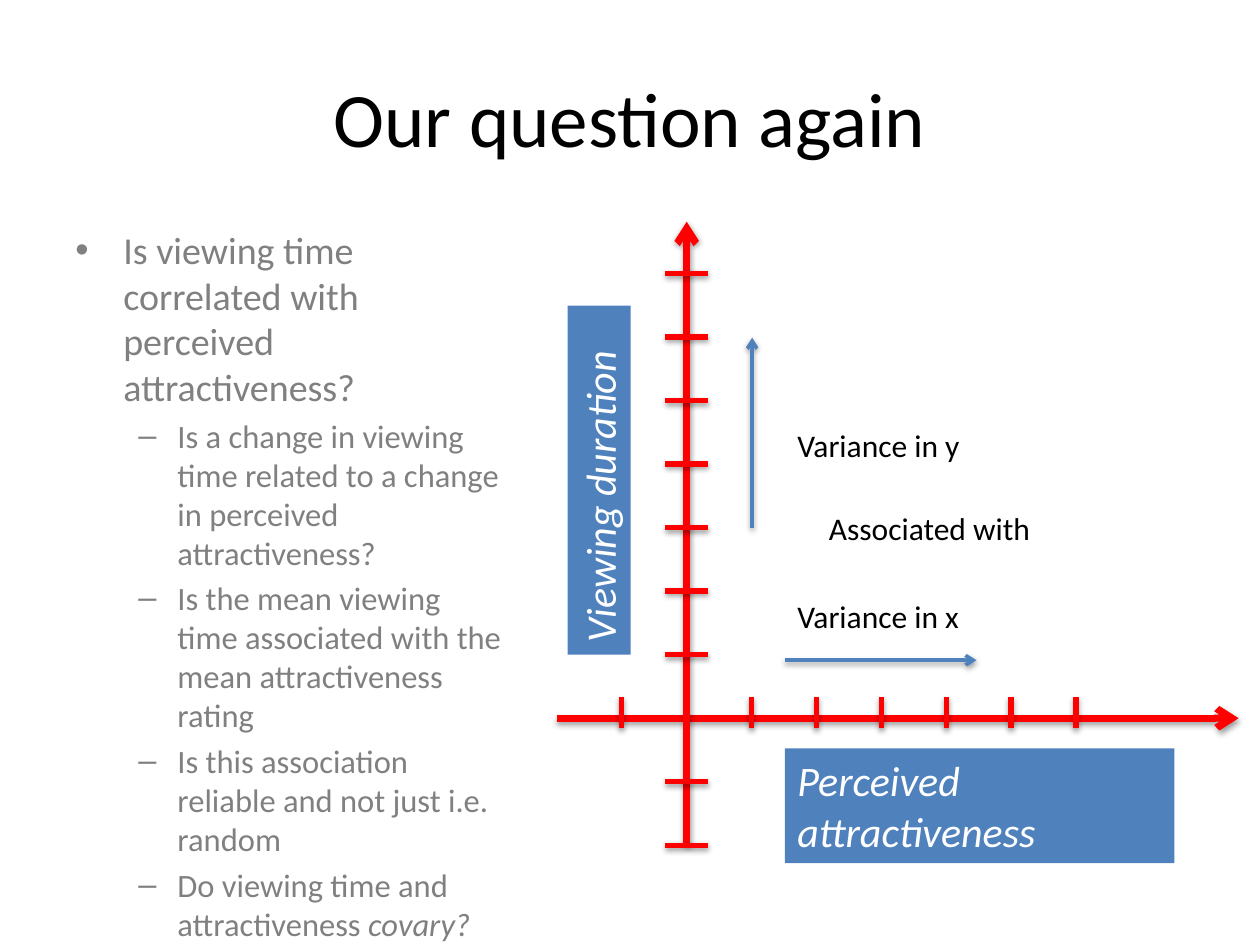
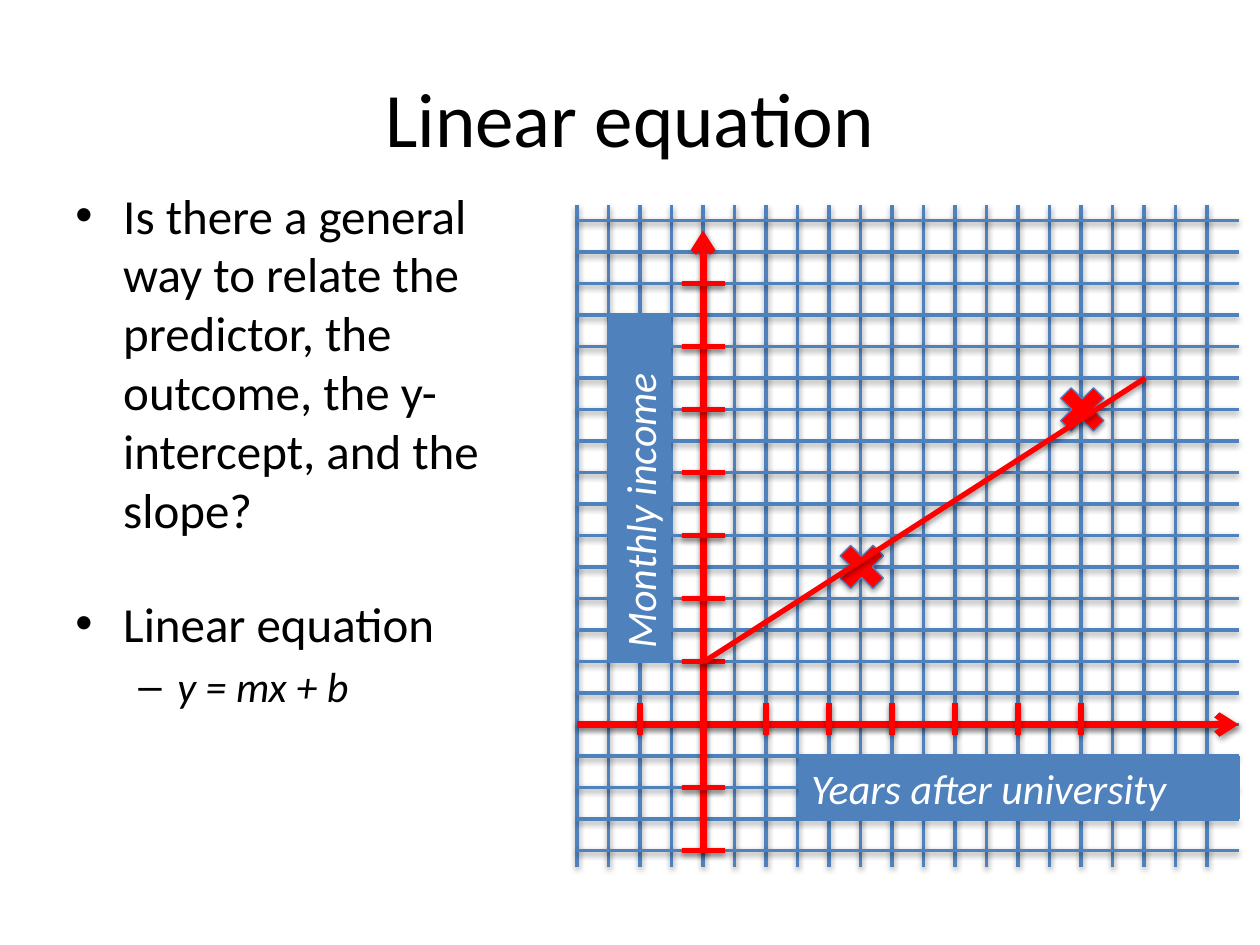
from pptx import Presentation
from pptx.dml.color import RGBColor
from pptx.enum.shapes import MSO_CONNECTOR as LINE, MSO_SHAPE as SHAPE
from pptx.enum.text import MSO_ANCHOR as ANCHOR, PP_ALIGN as ALIGN
from pptx.oxml import parse_xml
from pptx.oxml.ns import nsdecls, qn
from pptx.util import Inches, Pt

FONT = "Calibri"
COLORS = {"black": "000000", "grey": "808080", "white": "FFFFFF",
          "blue": "4F81BD", "edge": "4B7EBC", "red": "FF0000"}
# Bullet character, left margin and hanging indent for each list level
BULLETS = [("•", 0.38, 0.38), ("–", 0.81, 0.31)]
SHADOW = (f'<a:effectLst {nsdecls("a")}>'
          '<a:outerShdw blurRad="40000" dist="20000" dir="5400000" rotWithShape="0">'
          '<a:srgbClr val="000000"><a:alpha val="38000"/></a:srgbClr>'
          '</a:outerShdw></a:effectLst>')


def add_text(slide, box, paragraphs, sizes=(18,), color="black", fill=None,
             rotation=0, align=ALIGN.LEFT, anchor=ANCHOR.TOP, bullets=False):
    """Write (level, text) paragraphs; words between asterisks are italic."""
    holder = slide.shapes.add_textbox(*map(Inches, box))
    holder.rotation = rotation
    if fill:
        holder.fill.solid()
        holder.fill.fore_color.rgb = RGBColor.from_string(COLORS[fill])
    frame = holder.text_frame
    frame.word_wrap = True
    frame.vertical_anchor = anchor
    for index, (level, text) in enumerate(paragraphs):
        paragraph = frame.add_paragraph() if index else frame.paragraphs[0]
        paragraph.alignment = align
        size = sizes[level]
        if bullets:
            char, margin, hanging = BULLETS[level]
            props = paragraph._p.get_or_add_pPr()
            props.set("marL", str(Inches(margin)))
            props.set("indent", str(-Inches(hanging)))
            props.append(parse_xml(f'<a:buFont {nsdecls("a")} typeface="Arial"/>'))
            props.append(parse_xml(f'<a:buChar {nsdecls("a")} char="{char}"/>'))
            paragraph.level = level
            paragraph.space_before = Pt(size * 0.2 if index else 0)
        for part, words in enumerate(text.split("*")):
            if words:
                run = paragraph.add_run()
                run.text = words
                run.font.name = FONT
                run.font.size = Pt(size)
                run.font.italic = part % 2 == 1
                run.font.color.rgb = RGBColor.from_string(COLORS[color])


def add_line(slide, start, end, color="red", width=3, arrow=False):
    line = slide.shapes.add_connector(LINE.STRAIGHT, *map(Inches, (*start, *end)))
    line.line.color.rgb = RGBColor.from_string(COLORS[color])
    line.line.width = Pt(width)
    props = line._element.spPr
    if arrow:
        props.find(qn("a:ln")).append(
            parse_xml(f'<a:tailEnd {nsdecls("a")} type="arrow"/>'))
    props.append(parse_xml(SHADOW))


prs = Presentation()
prs.slide_width, prs.slide_height = Inches(10), Inches(7.5)
question, equation = [prs.slides.add_slide(prs.slide_layouts[6]) for _ in range(2)]

for slide, title in [(question, "Our question again"), (equation, "Linear equation")]:
    add_text(slide, (0.5, 0.3, 9, 1.25), [(0, title)], sizes=(44,),
             align=ALIGN.CENTER, anchor=ANCHOR.MIDDLE)

# Bulleted text
add_text(question, (0.5, 1.75, 3.58, 4.95), [
    (0, "Is viewing time correlated with perceived attractiveness?"),
    (1, "Is a change in viewing time related to a change in perceived attractiveness?"),
    (1, "Is the mean viewing time associated with the mean attractiveness rating"),
    (1, "Is this association reliable and not just i.e. random"),
    (1, "Do viewing time and attractiveness *covary?*"),
], sizes=(21.7, 18.6), color="grey", bullets=True)
add_text(equation, (0.5, 1.42, 3.83, 2.84), [
    (0, "Is there a general way to relate the predictor, the outcome, "
        "the y-intercept, and the slope?"),
], sizes=(28,), bullets=True)

# Graph paper
GRID_STEP = 0.25
for i in range(21):
    x = 4.58 + i * GRID_STEP
    add_line(equation, (x, 1.63), (x, 6.88), "blue", 2)
for i in range(21):
    y = 6.75 - i * GRID_STEP
    add_line(equation, (4.58, y), (9.83, y), "blue", 2)

# Axes: origin, last ticks, outer ends and labels
AXES = [
    (question, (5.45, 5.7), (8.54, 2.17), (4.42, 6.7), 1.76,
     ("Perceived attractiveness", (6.23, 5.94, 3.09, 0.91)),
     ("Viewing duration", (3.37, 3.56, 2.77, 0.5))),
    (equation, (5.58, 5.75), (8.58, 2.25), (4.58, 6.75), 1.83,
     ("Years after university", (6.34, 6, 3.5, 0.5)),
     ("Monthly income", (3.7, 3.62, 2.75, 0.5))),
]
for slide, (x0, y0), (last_x, last_y), (left, bottom), top, x_label, y_label in AXES:
    add_line(slide, (left, y0), (9.83, y0), width=4, arrow=True)
    add_line(slide, (x0, bottom), (x0, top), width=4, arrow=True)
    for n in (-1, 1, 2, 3, 4, 5, 6):
        x = x0 + n * (last_x - x0) / 6
        add_line(slide, (x, y0 + 0.08), (x, y0 - 0.17))
    for n in (-2, -1, 1, 2, 3, 4, 5, 6, 7):
        y = y0 + n * (last_y - y0) / 7
        add_line(slide, (x0 - 0.17, y), (x0 + 0.17, y))
    for (label, box), rotation in [(x_label, 0), (y_label, 270)]:
        add_text(slide, box, [(0, f"*{label}*")], sizes=(24,), color="white",
                 fill="blue", rotation=rotation)

# Variance along each axis
add_line(question, (5.97, 4.19), (5.97, 2.68), "blue", 2, arrow=True)
add_line(question, (6.23, 5.24), (7.75, 5.24), "blue", 2, arrow=True)
for note, x, y in [("Variance in y", 6.23, 3.33), ("Variance in x", 6.23, 4.69),
                   ("Associated with", 6.48, 3.99)]:
    add_text(question, (x, y, 2.32, 0.4), [(0, note)])

# Data points and the line through them
for x, y in [(6.59, 4.25), (8.34, 3)]:
    point = equation.shapes.add_shape(SHAPE.MATH_MULTIPLY, Inches(x), Inches(y),
                                      Inches(0.5), Inches(0.5))
    point.fill.solid()
    point.fill.fore_color.rgb = RGBColor.from_string(COLORS["red"])
    point.line.color.rgb = RGBColor.from_string(COLORS["edge"])
    point.line.width = Pt(0.75)
    point._element.spPr.append(parse_xml(SHADOW))
add_line(equation, (5.59, 5.25), (9.09, 3))

add_text(equation, (0.5, 4.66, 3.5, 2.25),
         [(0, "Linear equation"), (1, "*y = mx + b*")], sizes=(28, 24), bullets=True)

prs.save("out.pptx")
